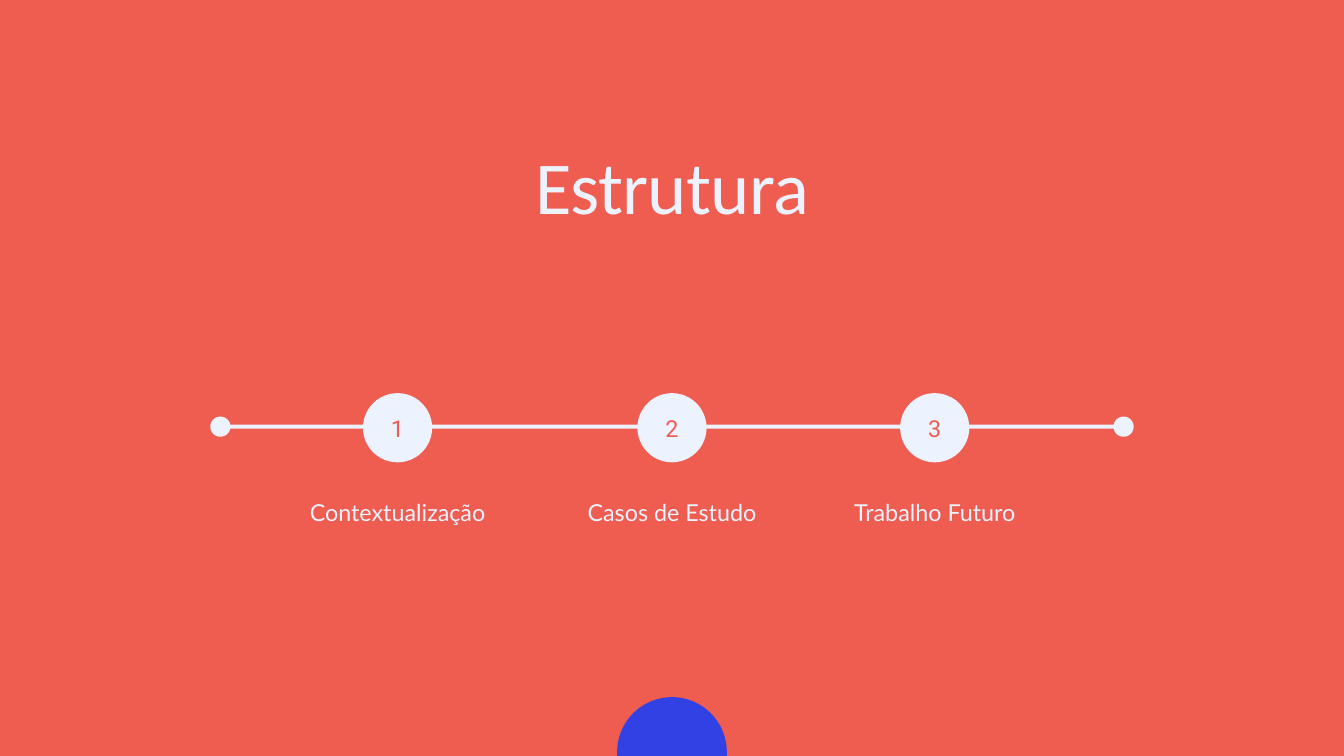
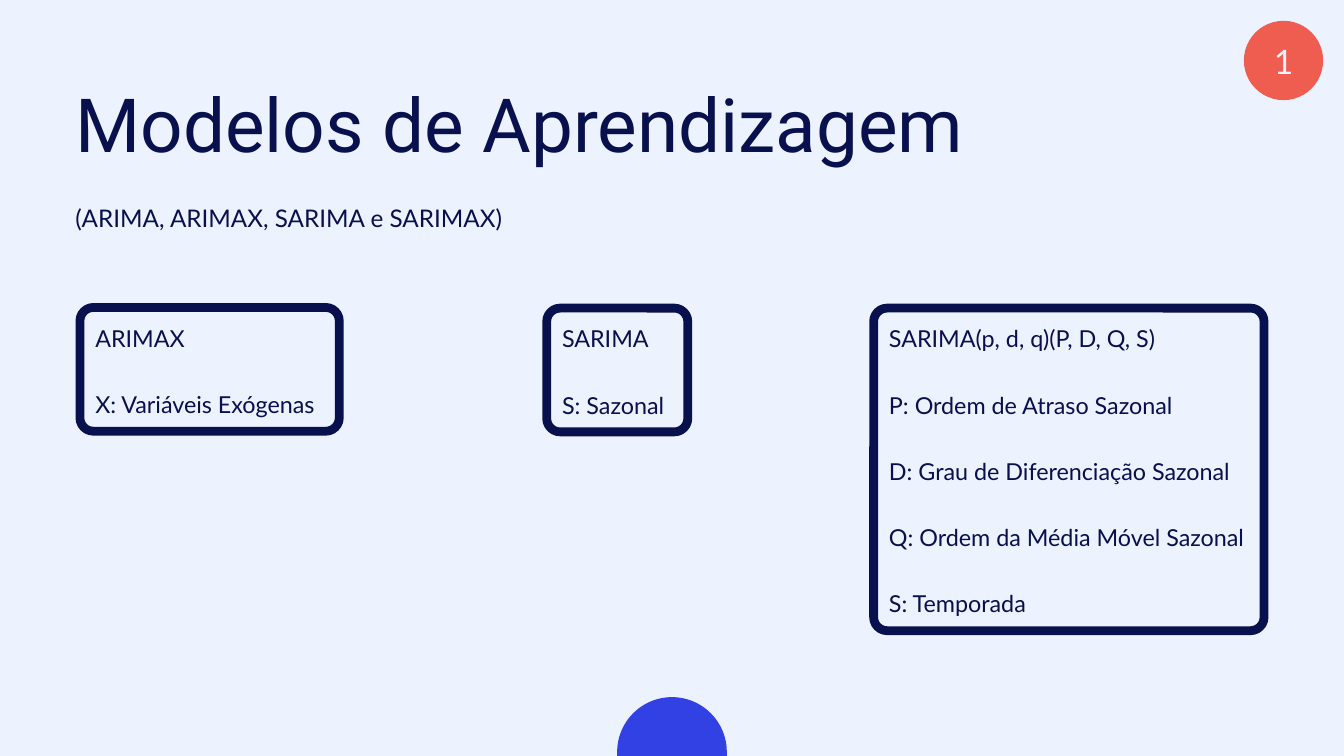
from dataclasses import dataclass
from math import asin, cos, pi, sin

from pptx import Presentation
from pptx.dml.color import RGBColor
from pptx.enum.shapes import MSO_SHAPE as SHAPE
from pptx.enum.text import MSO_ANCHOR as ANCHOR, MSO_AUTO_SIZE, PP_ALIGN as ALIGN
from pptx.oxml.ns import qn
from pptx.util import Inches, Pt

WIDTH, HEIGHT = Inches(20), Inches(11.25)


@dataclass(frozen=True)
class Style:
    font: str
    size: float
    leading: float


@dataclass(frozen=True)
class Theme:
    coral: RGBColor = RGBColor.from_string("EF5D50")
    pale: RGBColor = RGBColor.from_string("ECF2FE")
    navy: RGBColor = RGBColor.from_string("08104D")
    blue: RGBColor = RGBColor.from_string("3241E4")
    agenda_title: Style = Style("Calibri", 80, 104)
    title: Style = Style("Roboto", 80, 100.8)
    subtitle: Style = Style("Lato", 26, 36.9)
    text: Style = Style("Lato", 25, 35.5)
    number: Style = Style("Roboto", 25, 31.5)
    badge: Style = Style("Lato", 36, 45.4)


THEME = Theme()


def across(percent):
    return int(WIDTH * percent / 100)


def down(percent):
    return int(HEIGHT * percent / 100)


def place(sp, left, top, width, height):
    """Place a shape by percentages of the slide's size."""
    sp.left, sp.top = across(left), down(top)
    sp.width, sp.height = across(width), down(height)


def write(sp, lines, style, color, align=ALIGN.LEFT, anchor=ANCHOR.TOP, gap=0):
    """Fill a shape with paragraphs, with a gap in points between them."""
    tf = sp.text_frame
    tf.word_wrap = True
    tf.auto_size = MSO_AUTO_SIZE.NONE
    tf.vertical_anchor = anchor
    tf.margin_left = tf.margin_top = tf.margin_right = tf.margin_bottom = 0
    for i, line in enumerate(lines):
        p = tf.paragraphs[0] if i == 0 else tf.add_paragraph()
        p.text = line
        p.alignment = align
        p.line_spacing = Pt(style.leading)
        p.space_before = Pt(gap if i else 0)
        p.space_after = Pt(0)
        p.font.name, p.font.size = style.font, Pt(style.size)
        p.font.color.rgb = color
    return tf


def paint(sp, color):
    sp.shadow.inherit = False
    sp.fill.solid()
    sp.fill.fore_color.rgb = color
    sp.line.fill.background()


def arc(x, y, radius, start, end, steps=48):
    """Return points clockwise round x, y between two angles."""
    angles = [start + (end - start) * i / steps for i in range(steps + 1)]
    return [(int(x + radius * cos(a)), int(y + radius * sin(a))) for a in angles]


def add_outline(s, points, color):
    builder = s.shapes.build_freeform(*points[0])
    builder.add_line_segments(points[1:])
    paint(builder.convert_to_shape(), color)


def add_slide(prs, layout, background):
    """Add a slide with its background and the half disc at the foot."""
    s = prs.slides.add_slide(prs.slide_layouts[layout])
    s.background.fill.solid()
    s.background.fill.fore_color.rgb = background
    dome = arc(across(50), down(99.47), across(4.08), pi, 2 * pi)
    foot = [(dome[-1][0], HEIGHT), (dome[0][0], HEIGHT)]
    add_outline(s, dome + foot, THEME.blue)
    return s


def add_numbered_disc(s, x, y, diameter, number, style, fill, color):
    """Add a disc centred at x, y; its diameter is a share of the width."""
    d = across(diameter)
    sp = s.shapes.add_shape(SHAPE.OVAL, across(x) - d // 2, down(y) - d // 2, d, d)
    paint(sp, fill)
    write(sp, [number], style, color, ALIGN.CENTER, ANCHOR.MIDDLE)


def add_track(s, start, end, y):
    """Add the timeline's bar with a dot at each end, as one outline."""
    radius, half_bar = Inches(0.15), Inches(0.03)
    joint = asin(half_bar / radius)
    left = arc(across(start), down(y), radius, joint, 2 * pi - joint)
    right = arc(across(end), down(y), radius, pi + joint, 3 * pi - joint)
    add_outline(s, left + right, THEME.pale)


def add_step(s, x, number, label):
    add_numbered_disc(s, x, 56.58, 5.15, number, THEME.number, THEME.pale, THEME.coral)
    width = 15.35
    sp = s.shapes.add_textbox(0, 0, 0, 0)
    place(sp, x - width / 2, 65.16, width, 4.27)
    write(sp, [label], THEME.text, THEME.pale, ALIGN.CENTER)


def add_frame(s, left, top, width, lines):
    """Add an outlined box, two text lines high for each paragraph."""
    leading = THEME.text.leading
    border, radius = Pt(9.4), Inches(0.2)
    sp = s.shapes.add_shape(SHAPE.ROUNDED_RECTANGLE,
                            across(left) + border // 2, down(top) + border // 2,
                            across(width) - border,
                            Pt(2 * leading * len(lines)) - border)
    sp.adjustments[0] = radius / min(sp.width, sp.height)
    sp.shadow.inherit = False
    sp.fill.background()
    sp.line.color.rgb = THEME.navy
    sp.line.width = border
    tf = write(sp, lines, THEME.text, THEME.navy, gap=leading)
    tf.margin_left, tf.margin_top = Inches(0.17), Inches(0.11)


def build_agenda(prs):
    s = add_slide(prs, 5, THEME.coral)
    title = s.shapes.title
    place(title, 26.35, 17.51, 47.3, 12.44)
    tf = write(title, ["Estrutura"], THEME.agenda_title, THEME.pale, ALIGN.CENTER)
    tf.paragraphs[0].runs[0]._r.get_or_add_rPr().set("spc", "-80")
    add_track(s, 16.4, 83.6, 56.44)
    steps = [(29.58, "Contextualização"), (50, "Casos de Estudo"),
             (69.55, "Trabalho Futuro")]
    for i, (x, label) in enumerate(steps, 1):
        add_step(s, x, str(i), label)


def build_models(prs):
    s = add_slide(prs, 1, THEME.pale)
    title, subtitle = s.placeholders
    place(title, 5.6, 9.69, 76.15, 12.09)
    write(title, ["Modelos de Aprendizagem"], THEME.title, THEME.navy)
    place(subtitle, 5.6, 26.13, 76.15, 4.27)
    tf = write(subtitle, ["(ARIMA, ARIMAX, SARIMA e SARIMAX)"], THEME.subtitle, THEME.navy)
    pPr = tf.paragraphs[0]._p.get_or_add_pPr()
    pPr.set("marL", "0")
    pPr.set("indent", "0")
    pPr.insert_element_before(pPr.makeelement(qn("a:buNone")), "a:tabLst", "a:defRPr")
    frames = [
        (5.62, 40.09, 19.95, ["ARIMAX", "X: Variáveis Exógenas"]),
        (40.35, 40.18, 11.15, ["SARIMA", "S: Sazonal"]),
        (64.68, 40.18, 29.7, ["SARIMA(p, d, q)(P, D, Q, S)",
                              "P: Ordem de Atraso Sazonal",
                              "D: Grau de Diferenciação Sazonal",
                              "Q: Ordem da Média Móvel Sazonal", "S: Temporada"]),
    ]
    for frame in frames:
        add_frame(s, *frame)
    add_numbered_disc(s, 95.5, 8, 5.9, "1", THEME.badge, THEME.coral, THEME.pale)


def main():
    prs = Presentation()
    prs.slide_width, prs.slide_height = WIDTH, HEIGHT
    build_agenda(prs)
    build_models(prs)
    prs.save("out.pptx")


if __name__ == "__main__":
    main()
